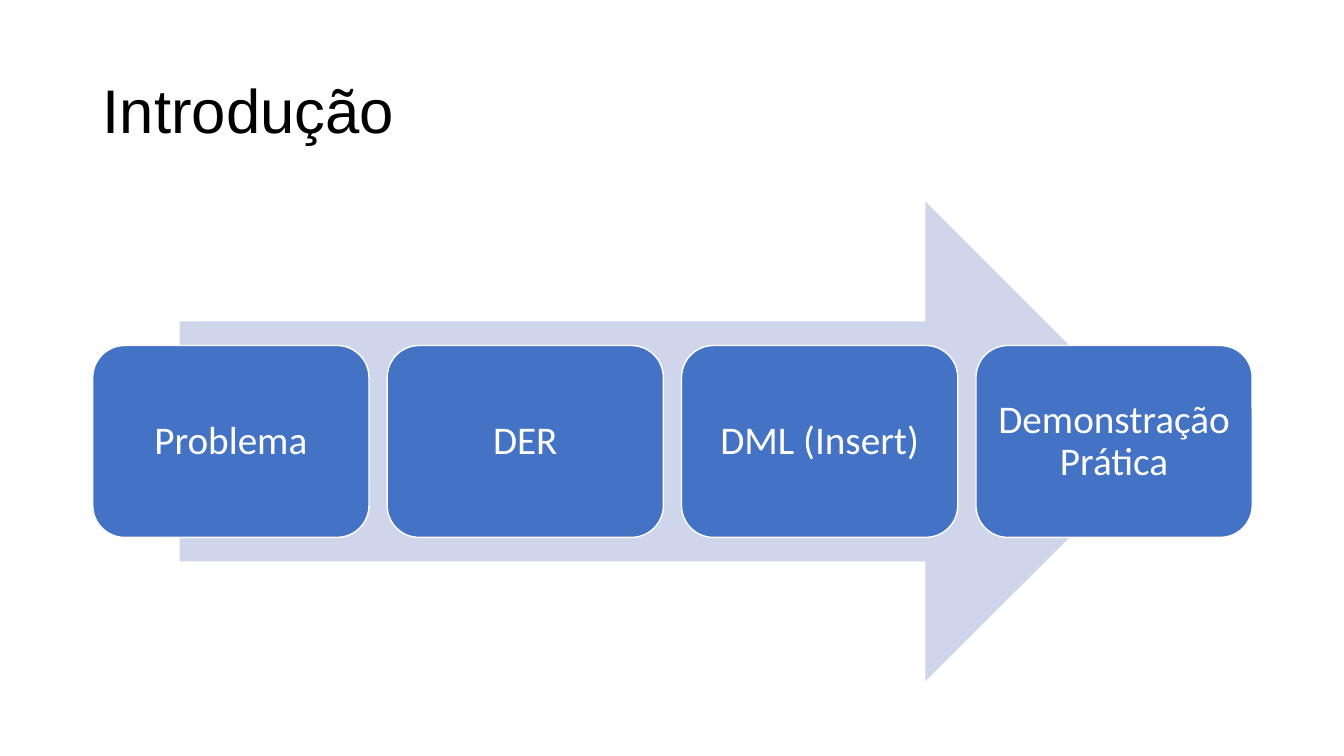
import pptx
import pptx.dml.color
import pptx.enum.shapes
import pptx.enum.text
import pptx.util

Inches = pptx.util.Inches
SHAPE = pptx.enum.shapes.MSO_SHAPE
ALIGN = pptx.enum.text.PP_ALIGN
STEPS = ["Problema", "DER", "DML (Insert)", "Demonstração Prática"]


def rgb(value):
    return pptx.dml.color.RGBColor.from_string(value)


def set_attrs(obj, attrs):
    for name, value in attrs.items():
        setattr(obj, name, value)


def write_text(tf, text, size, font, color, align, inset):
    set_attrs(tf, {
        "text": text,
        "word_wrap": True,
        "auto_size": pptx.enum.text.MSO_AUTO_SIZE.NONE,
        "vertical_anchor": pptx.enum.text.MSO_ANCHOR.MIDDLE,
        "margin_left": Inches(inset),
        "margin_right": Inches(inset),
        "margin_top": Inches(inset),
        "margin_bottom": Inches(inset),
    })
    p = tf.paragraphs[0]
    set_attrs(p, {"alignment": align, "line_spacing": 0.9})
    r = p.runs[0]
    set_attrs(r.font, {"size": pptx.util.Pt(size), "name": font})
    r.font.color.rgb = rgb(color)


def add_block(slide, kind, box, fill, line=None):
    sp = slide.shapes.add_shape(kind, *map(Inches, box))
    sp.shadow.inherit = False
    sp.fill.solid()
    sp.fill.fore_color.rgb = rgb(fill)
    if line:
        sp.line.color.rgb = rgb(line)
        sp.line.width = pptx.util.Pt(1)
    else:
        sp.line.fill.background()
    return sp


def add_title(slide, text, box):
    title = slide.shapes.title
    set_attrs(title, dict(zip(("left", "top", "width", "height"), map(Inches, box))))
    write_text(title.text_frame, text, 44, "Arial", "000000", ALIGN.LEFT, 0.1)


def add_process(slide, steps, box):
    left, top, width, height = box

    # Background arrow, 85 % of the width and centred
    arrow_w = 0.85 * width
    arrow_box = (left + (width - arrow_w) / 2, top, arrow_w, height)
    add_block(slide, SHAPE.RIGHT_ARROW, arrow_box, "CFD5EA")

    # Step cards, evenly spaced across the middle
    gap = 0.18
    card_w = (width - gap * (len(steps) - 1)) / len(steps)
    card_h = 0.4 * height
    card_top = top + (height - card_h) / 2
    for i, step in enumerate(steps):
        card_box = (left + i * (card_w + gap), card_top, card_w, card_h)
        sp = add_block(slide, SHAPE.ROUNDED_RECTANGLE, card_box, "4472C4", "FFFFFF")
        write_text(sp.text_frame, step, 28, "Calibri", "FFFFFF", ALIGN.CENTER, 0.12)


def main():
    prs = pptx.Presentation()
    prs.slide_width, prs.slide_height = Inches(13.33), Inches(7.5)
    slide = prs.slides.add_slide(prs.slide_layouts[5])
    add_title(slide, "Introdução", (0.92, 0.4, 11.5, 1.45))
    add_process(slide, STEPS, (0.92, 2, 11.5, 4.76))
    prs.save("out.pptx")


if __name__ == "__main__":
    main()
